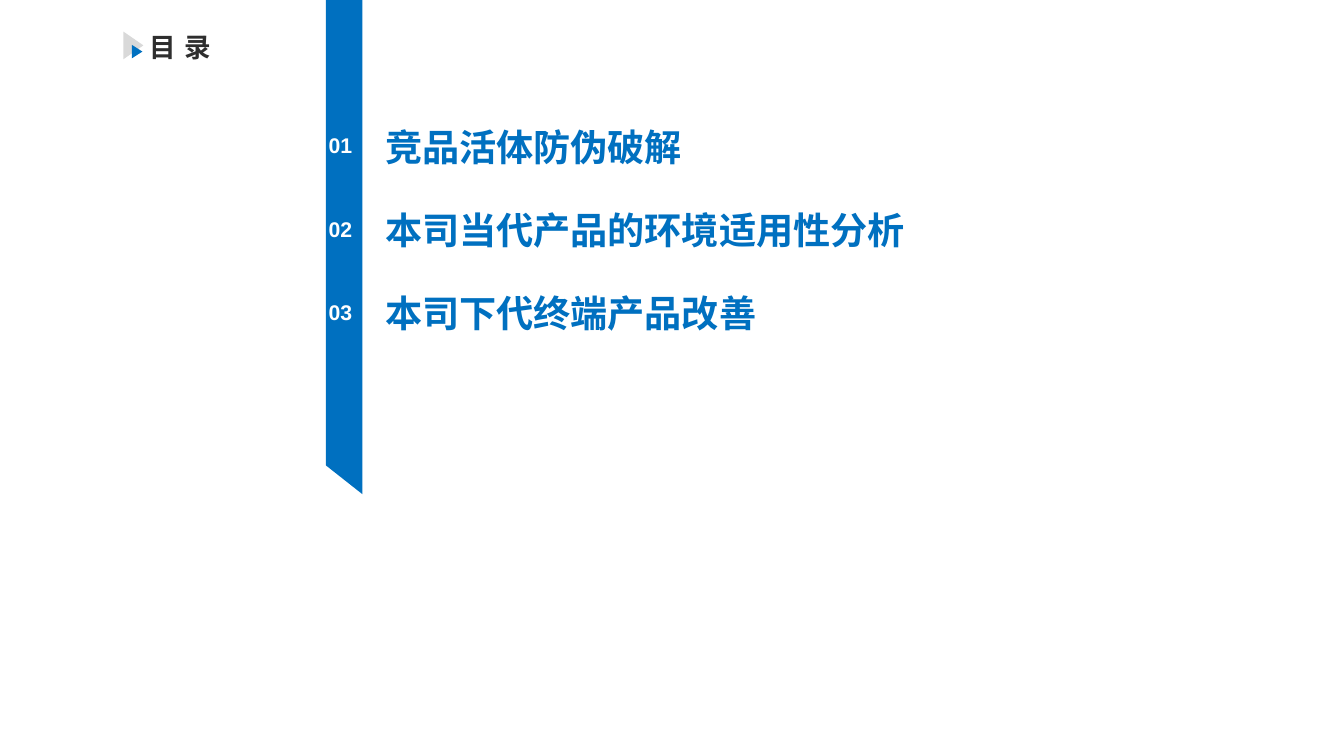
from pptx import Presentation
from pptx.dml.color import RGBColor
from pptx.enum.shapes import MSO_SHAPE
from pptx.enum.text import MSO_AUTO_SIZE
from pptx.util import Inches, Pt

BLUE, GREY, DARK, WHITE = "0070C0", "D9D9D9", "2E2E2E", "FFFFFF"

deck = Presentation()
deck.slide_width, deck.slide_height = Inches(14.06), Inches(7.91)
slide = deck.slides.add_slide(deck.slide_layouts[6])
shapes = slide.shapes


def paint(shape, color):
    shape.shadow.inherit = False
    shape.fill.solid()
    shape.fill.fore_color.rgb = RGBColor.from_string(color)
    shape.line.fill.background()


def write(text, box, size, color, name="Arial", wrap=False):
    frame = shapes.add_textbox(*map(Inches, box)).text_frame
    frame.word_wrap = wrap
    frame.auto_size = MSO_AUTO_SIZE.SHAPE_TO_FIT_TEXT
    run = frame.paragraphs[0].add_run()
    run.text = text
    for key, value in {"name": name, "size": Pt(size), "bold": True}.items():
        setattr(run.font, key, value)
    run.font.color.rgb = RGBColor.from_string(color)
    return run


title = write("目录", (1.47, 0.27, 0.93, 0.44), 20, DARK)
title.font._element.set("spc", "600")

for box, color in [((1.29, 0.33, 0.21, 0.29), GREY), ((1.38, 0.47, 0.11, 0.14), BLUE)]:
    arrow = shapes.add_shape(MSO_SHAPE.RIGHT_ARROW, *map(Inches, box))
    arrow.adjustments[0], arrow.adjustments[1] = 0.5, 1
    paint(arrow, color)

left, right, top = 341, 379, -6
pen = shapes.build_freeform(left, top, scale=Inches(0.01))
pen.add_line_segments([(right, top), (right, 517), (left, 487)], close=True)
paint(pen.convert_to_shape(), BLUE)

topics = [
    ("竞品活体防伪破解", 3.34),
    ("本司当代产品的环境适用性分析", 5.7),
    ("本司下代终端产品改善", 4.13),
]
first, step = 1.34, 0.87
for row, (topic, width) in enumerate(topics):
    y = first + row * step
    write(f"{row + 1:02}", (3.34, y, 0.46, 0.37), 16, WHITE, wrap=True)
    write(topic, (3.93, y - 0.09, width, 0.57), 28, BLUE, "Montserrat")

deck.save("out.pptx")
